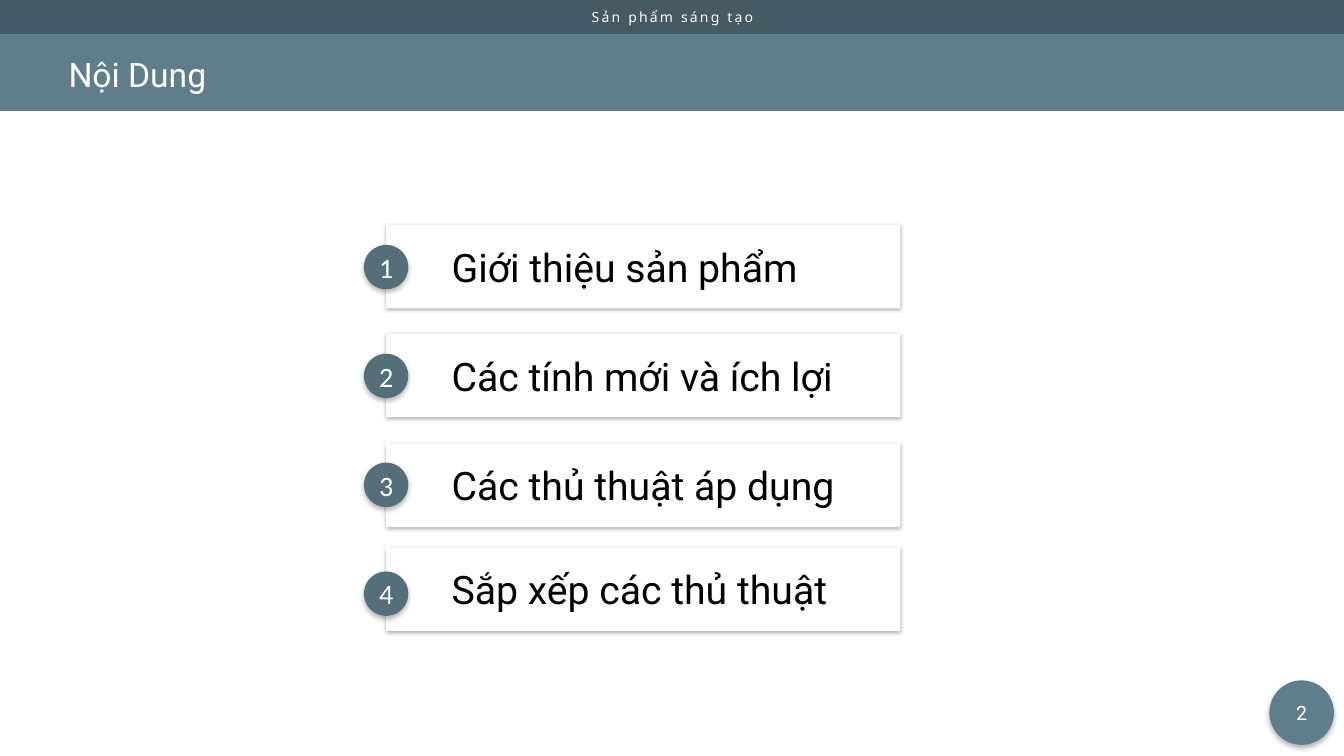
from dataclasses import dataclass

from lxml import etree
from pptx import Presentation
from pptx.dml.color import RGBColor
from pptx.enum.shapes import MSO_SHAPE as Shape
from pptx.enum.text import MSO_ANCHOR as Anchor, MSO_AUTO_SIZE as AutoSize, PP_ALIGN as Align
from pptx.oxml.ns import qn
from pptx.util import Inches, Pt


@dataclass(frozen=True)
class Theme:
    top_bar: str = "455A64"
    title_bar: str = "607D8B"
    badge: str = "546E7A"
    white: str = "FFFFFF"
    black: str = "000000"
    font: str = "Roboto"
    tagline_font: str = "Noto Sans"
    badge_font: str = "Calibri"
    tagline_size: int = 10
    page_size: int = 14
    badge_size: int = 20
    title_size: int = 24
    item_size: int = 28


THEME = Theme()
ITEMS = (
    "Giới thiệu sản phẩm",
    "Các tính mới và ích lợi",
    "Các thủ thuật áp dụng",
    "Sắp xếp các thủ thuật",
)
CARD_TOPS = (2.23, 3.31, 4.4, 5.43)
BADGE_TOP = 2.43
BADGE_PITCH = 1.08


def add_run(tf, text, font, size, color, align=Align.LEFT):
    p = tf.paragraphs[0]
    p.alignment = align
    r = p.add_run()
    r.text = text
    r.font.name = font
    r.font.size = Pt(size)
    r.font.color.rgb = RGBColor.from_string(color)
    return r


def add_block(s, kind, left, top, width, height, fill):
    sp = s.shapes.add_shape(kind, Inches(left), Inches(top), Inches(width), Inches(height))
    sp.shadow.inherit = False
    sp.fill.solid()
    sp.fill.fore_color.rgb = RGBColor.from_string(fill)
    sp.line.fill.background()
    sp.text_frame.vertical_anchor = Anchor.MIDDLE
    return sp


def add_shadow(sp, blur, distance):
    effects = sp.element.spPr.find(qn("a:effectLst"))
    shadow = etree.SubElement(
        effects, qn("a:outerShdw"), blurRad=str(Pt(blur)), dist=str(Pt(distance)),
        dir="5400000", algn="t", rotWithShape="0",
    )
    color = etree.SubElement(shadow, qn("a:srgbClr"), val=THEME.black)
    etree.SubElement(color, qn("a:alpha"), val="30000")


def add_circle(s, left, top, size, fill, text, font, text_size):
    sp = add_block(s, Shape.OVAL, left, top, size, size, fill)
    add_shadow(sp, 4, 2)
    tf = sp.text_frame
    tf.margin_left = tf.margin_right = tf.margin_top = tf.margin_bottom = 0
    add_run(tf, text, font, text_size, THEME.white, Align.CENTER)


def add_card(s, top, text):
    sp = add_block(s, Shape.RECTANGLE, 3.83, top, 5.1, 0.83, THEME.white)
    add_shadow(sp, 3, 1)
    sp.text_frame.margin_left = Inches(0.65)
    add_run(sp.text_frame, text, THEME.font, THEME.item_size, THEME.black)


def add_tagline(s, text):
    sp = s.shapes.add_textbox(Inches(5.66), Inches(0.04), Inches(2.02), Inches(0.27))
    tf = sp.text_frame
    tf.word_wrap = False
    tf.auto_size = AutoSize.SHAPE_TO_FIT_TEXT
    r = add_run(tf, text, THEME.tagline_font, THEME.tagline_size, THEME.white, Align.CENTER)
    r.font._element.set("spc", "160")


def set_title(s, text):
    sp = s.shapes.title
    sp.left, sp.top = Inches(0.58), Inches(0.52)
    sp.width, sp.height = Inches(12.28), Inches(0.47)
    sp.element.getparent().append(sp.element)
    tf = sp.text_frame
    tf.auto_size = AutoSize.NONE
    tf.vertical_anchor = Anchor.MIDDLE
    add_run(tf, text, THEME.font, THEME.title_size, THEME.white)
    tf.paragraphs[0].line_spacing = 0.9


def main():
    prs = Presentation()
    prs.slide_width, prs.slide_height = Inches(13.33), Inches(7.5)
    s = prs.slides.add_slide(prs.slide_layouts[5])

    add_block(s, Shape.RECTANGLE, 0, 0, 13.33, 0.44, THEME.top_bar)
    add_block(s, Shape.RECTANGLE, 0, 0.34, 13.33, 0.76, THEME.title_bar)
    add_tagline(s, "Sản phẩm sáng tạo")
    add_circle(s, 12.59, 6.75, 0.64, THEME.title_bar, "2", THEME.font, THEME.page_size)
    set_title(s, "Nội Dung")

    for i, (top, text) in enumerate(zip(CARD_TOPS, ITEMS)):
        add_card(s, top, text)
        add_circle(s, 3.61, BADGE_TOP + i * BADGE_PITCH, 0.44, THEME.badge,
                   str(i + 1), THEME.badge_font, THEME.badge_size)

    prs.save("out.pptx")


if __name__ == "__main__":
    main()
